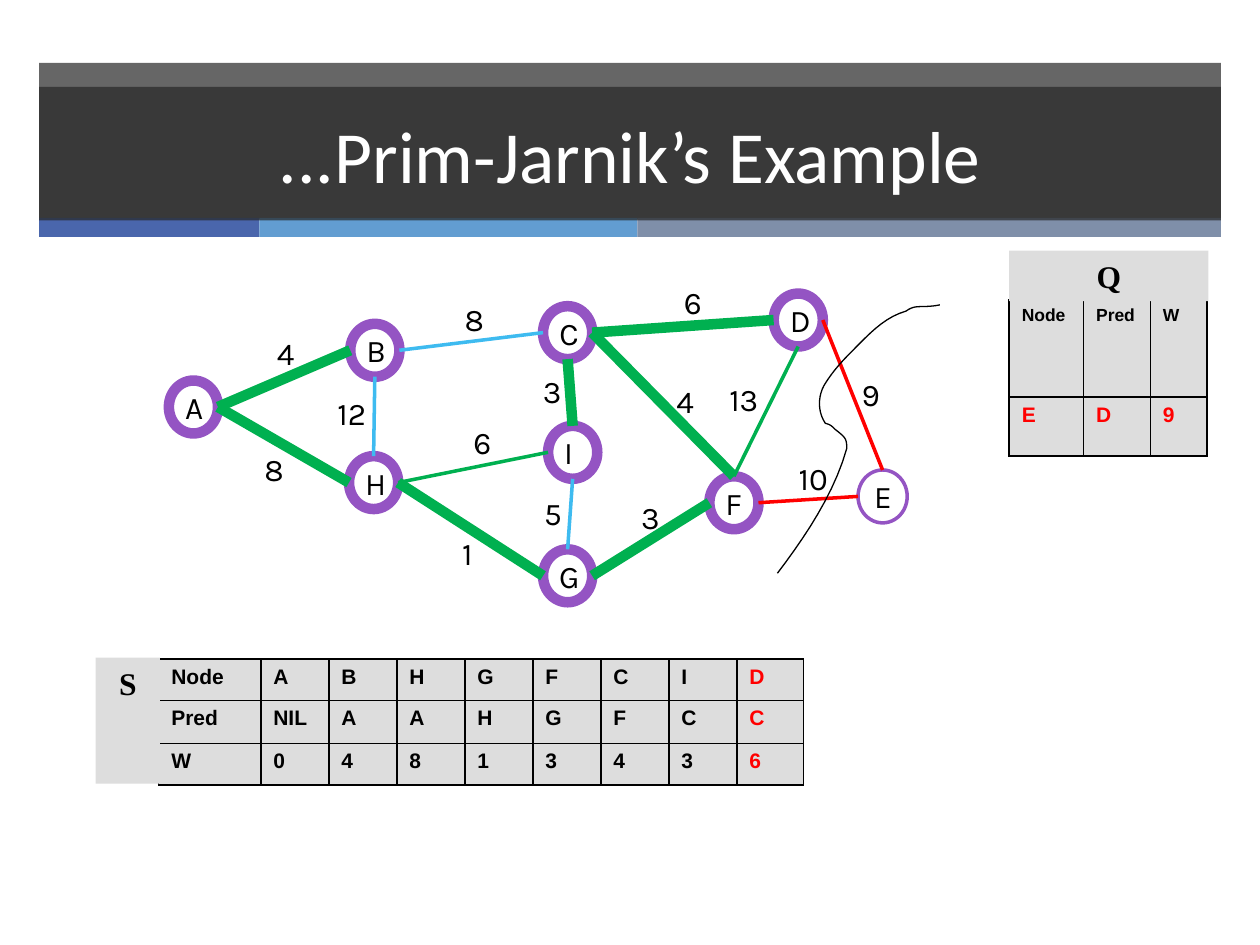
from dataclasses import dataclass

from lxml.etree import SubElement
from pptx import Presentation
from pptx.dml.color import RGBColor
from pptx.enum.shapes import MSO_CONNECTOR, MSO_SHAPE
from pptx.enum.text import MSO_ANCHOR, MSO_AUTO_SIZE, PP_ALIGN
from pptx.oxml.ns import qn
from pptx.util import Inches, Pt


@dataclass(frozen=True)
class Theme:
    """Colours, fonts and sizes of the slide."""
    black: str = "000000"
    white: str = "FFFFFF"
    header: str = "262626"
    strips: tuple = ("4A66AC", "629DD1", "7F8FA9")
    panel: str = "DDDDDD"
    ring: str = "9454C3"
    tree: str = "00B050"
    idle: str = "3EBBF0"
    cut: str = "FF0000"
    title_font: str = "Calibri"
    graph_font: str = "Karla"
    table_font: str = "Arial"
    name_font: str = "Times New Roman"
    title_size: int = 42
    label_size: int = 18
    cell_size: int = 12
    small_size: int = 10
    thick: int = 6
    thin: int = 2


class SlideBuilder:
    """Draws elements on one slide in one style."""

    def __init__(self, slide, theme):
        """Keep the slide and its theme."""
        self.slide, self.theme = slide, theme

    def set_text(self, frame, text, font, size, color, bold=False, align=None):
        """Put one formatted paragraph into a text frame."""
        frame.text = text
        paragraph = frame.paragraphs[0]
        paragraph.alignment = align
        style = paragraph.runs[0].font
        style.name, style.size, style.bold = font, Pt(size), bold
        style.color.rgb = RGBColor.from_string(color)

    def paint(self, shape, color, opacity=None):
        """Fill a shape, optionally translucent, without an outline."""
        shape.fill.solid()
        shape.fill.fore_color.rgb = RGBColor.from_string(color)
        shape.line.fill.background()
        if opacity is not None:
            solid = shape.element.spPr.find(qn("a:solidFill"))
            SubElement(solid[0], qn("a:alpha"), val=str(opacity * 1000))

    def outline(self, line, color, width):
        """Set the colour and width of a line."""
        line.color.rgb = RGBColor.from_string(color)
        line.width = Pt(width)

    def box(self, left, top, width, height, color, opacity=None):
        """Add a filled rectangle."""
        shape = self.slide.shapes.add_shape(
            MSO_SHAPE.RECTANGLE, Inches(left), Inches(top), Inches(width), Inches(height))
        shape.shadow.inherit = False
        self.paint(shape, color, opacity)
        return shape

    def title(self, text, left, top, width, height):
        """Place the title placeholder over the header."""
        shape = self.slide.shapes.title
        shape.left, shape.top = Inches(left), Inches(top)
        shape.width, shape.height = Inches(width), Inches(height)
        self.paint(shape, self.theme.header, 70)
        shape.text_frame.vertical_anchor = MSO_ANCHOR.MIDDLE
        shape.text_frame.auto_size = MSO_AUTO_SIZE.NONE
        self.set_text(shape.text_frame, text, self.theme.title_font, self.theme.title_size,
                      self.theme.white, align=PP_ALIGN.CENTER)
        shape.element.getparent().append(shape.element)

    def panel(self, name, left, top, width, height):
        """Add the grey panel that names a table."""
        frame = self.box(left, top, width, height, self.theme.panel).text_frame
        frame.word_wrap = True
        frame.vertical_anchor = MSO_ANCHOR.TOP
        self.set_text(frame, name, self.theme.name_font, self.theme.label_size,
                      self.theme.black, True, PP_ALIGN.CENTER)

    def label(self, text, left, top, width):
        """Add a graph label."""
        shape = self.slide.shapes.add_textbox(
            Inches(left), Inches(top), Inches(width), Inches(0.4))
        shape.text_frame.word_wrap = False
        self.set_text(shape.text_frame, text, self.theme.graph_font,
                      self.theme.label_size, self.theme.black)

    def node(self, name, left, top, label_width, ring_width):
        """Add a ringed graph node with its letter."""
        shape = self.slide.shapes.add_shape(
            MSO_SHAPE.OVAL, Inches(left), Inches(top), Inches(NODE_WIDTH), Inches(NODE_HEIGHT))
        shape.shadow.inherit = False
        shape.fill.background()
        self.outline(shape.line, self.theme.ring, ring_width)
        self.label(name, left + 0.03, top + 0.01, label_width)

    def edge(self, start, end, color, width):
        """Add a straight graph edge."""
        connector = self.slide.shapes.add_connector(
            MSO_CONNECTOR.STRAIGHT, *(Inches(value) for value in start + end))
        self.outline(connector.line, color, width)
        SubElement(connector.element.spPr, qn("a:effectLst"))

    def curve(self, start, segments, color, width):
        """Add an open outline through cubic segments."""
        points, origin = [], start
        for segment in segments:
            corners = (origin, segment[:2], segment[2:4], segment[4:])
            for step in range(1, 11):
                t = step / 10
                weights = ((1 - t) ** 3, 3 * t * (1 - t) ** 2, 3 * t * t * (1 - t), t ** 3)
                points.append(tuple(
                    Inches(sum(w * corner[axis] for w, corner in zip(weights, corners)))
                    for axis in (0, 1)))
            origin = corners[-1]
        builder = self.slide.shapes.build_freeform(Inches(start[0]), Inches(start[1]))
        builder.add_line_segments(points, close=False)
        shape = builder.convert_to_shape()
        shape.shadow.inherit = False
        shape.fill.background()
        self.outline(shape.line, color, width)

    def table(self, rows, left, top, widths, heights, style):
        """Add a bordered table; style(row, column) gives size and colour."""
        table = self.slide.shapes.add_table(
            len(rows), len(widths), Inches(left), Inches(top),
            Inches(sum(widths)), Inches(sum(heights))).table
        table.first_row = table.horz_banding = False
        for column, width in zip(table.columns, widths):
            column.width = Inches(width)
        for i, (texts, height) in enumerate(zip(rows, heights)):
            table.rows[i].height = Inches(height)
            for j, text in enumerate(texts):
                cell = table.cell(i, j)
                self.set_text(cell.text_frame, text, self.theme.table_font, *style(i, j), True)
                self.borders(cell)
                cell.fill.solid()
                cell.fill.fore_color.rgb = RGBColor.from_string(self.theme.panel)

    def borders(self, cell):
        """Draw a thin line on all four sides of a cell."""
        properties = cell._tc.get_or_add_tcPr()
        for side in ("a:lnL", "a:lnR", "a:lnT", "a:lnB"):
            line = SubElement(properties, qn(side), w=str(Pt(1)))
            fill = SubElement(line, qn("a:solidFill"))
            SubElement(fill, qn("a:srgbClr"), val=self.theme.black)


NODE_WIDTH, NODE_HEIGHT = 0.39, 0.42
SIDES = {"left": (0, 0.5), "right": (1, 0.5), "top": (0.5, 0), "bottom": (0.5, 1)}
NODES = {  # left, top, label width
    "H": (2.77, 3.62, 0.37), "B": (2.78, 2.57, 0.35), "C": (4.31, 2.43, 0.35),
    "I": (4.35, 3.38, 0.3), "A": (1.34, 3.02, 0.35), "D": (6.14, 2.33, 0.37),
    "G": (4.31, 4.36, 0.37), "F": (5.63, 3.78, 0.33), "E": (6.81, 3.73, 0.34)}


def anchor(name, side):
    """Return the point on one side of a node."""
    left, top, _ = NODES[name]
    across, down = SIDES[side]
    return left + across * NODE_WIDTH, top + down * NODE_HEIGHT


theme = Theme()
EDGES = (
    (theme.idle, theme.thin, ("H top B bottom", "C left B right", "G top I bottom")),
    (theme.tree, theme.thick, (
        "C bottom I top", "C right F top", "A right H left", "H right G left",
        "A right B left", "G right F left", "D left C right")),
    (theme.tree, theme.thin, ("H right I left", "D bottom F top")),
    (theme.cut, theme.thin, ("F right E left", "D right E top")))
WEIGHTS = (
    ("1", 3.57, 4.19), ("6", 3.66, 3.31), ("8", 2, 3.52), ("4", 2.1, 2.6), ("12", 2.58, 3.08),
    ("8", 3.59, 2.33), ("3", 4.21, 2.9), ("6", 5.33, 2.2), ("5", 4.22, 3.87), ("3", 4.99, 3.9),
    ("4", 5.27, 2.98), ("13", 5.69, 2.97), ("9", 6.74, 2.93), ("10", 6.24, 3.59))
CUT = (
    (6.39, 4.26, 6.62, 3.92, 6.72, 3.56), (6.72, 3.52, 6.72, 3.49, 6.69, 3.46),
    (6.67, 3.44, 6.63, 3.41, 6.63, 3.41), (6.6, 3.38, 6.59, 3.37, 6.55, 3.36),
    (6.49, 3.27, 6.49, 3.15, 6.54, 3.06), (6.6, 2.96, 6.67, 2.88, 6.75, 2.8),
    (6.88, 2.67, 7.01, 2.52, 7.19, 2.47), (7.26, 2.42, 7.29, 2.44, 7.39, 2.43),
    (7.41, 2.43, 7.46, 2.42, 7.46, 2.42))
SOLVED = (("Node", *"ABHGFCID"), ("Pred", "NIL", *"AAHGFCC"), ("W", *"04813436"))
QUEUE = (("Node", "Pred", "W"), ("E", "D", "9"))

presentation = Presentation()
presentation.slide_width, presentation.slide_height = Inches(10), Inches(7.5)
builder = SlideBuilder(presentation.slides.add_slide(presentation.slide_layouts[5]), theme)

builder.box(0.31, 0.5, 9.38, 1.24, theme.header, 70)
strip_left = 0.31
for strip_color, strip_width in zip(theme.strips, (1.75, 3, 4.63)):
    builder.box(strip_left, 1.73, strip_width, 0.15, strip_color)
    strip_left += strip_width

builder.table(SOLVED, 1.26, 5.23, [0.81] + [0.54] * 7 + [0.53], (0.33, 0.34, 0.33),
              lambda i, j: (theme.cell_size, theme.cut if j == 8 else theme.black))
for node_name, place in NODES.items():
    builder.node(node_name, *place, theme.thin if node_name == "E" else theme.thick)
for edge_color, edge_width, routes in EDGES:
    for route in routes:
        first, first_side, last, last_side = route.split()
        builder.edge(anchor(first, first_side), anchor(last, last_side), edge_color, edge_width)
for weight, weight_left, weight_top in WEIGHTS:
    builder.label(weight, weight_left, weight_top, 0.2 + 0.14 * len(weight))
builder.curve((6.17, 4.55), CUT, theme.black, 0.75)
builder.table(QUEUE, 8.01, 2.38, (0.59, 0.53, 0.45), (0.77, 0.47),
              lambda i, j: (theme.cell_size, theme.cut) if i else (theme.small_size, theme.black))
builder.panel("S", 0.76, 5.22, 0.51, 1)
builder.panel("Q", 8.01, 1.99, 1.58, 0.4)
builder.title("...Prim-Jarnik\u2019s Example", 0.31, 0.69, 9.38, 1.06)
presentation.save("out.pptx")
